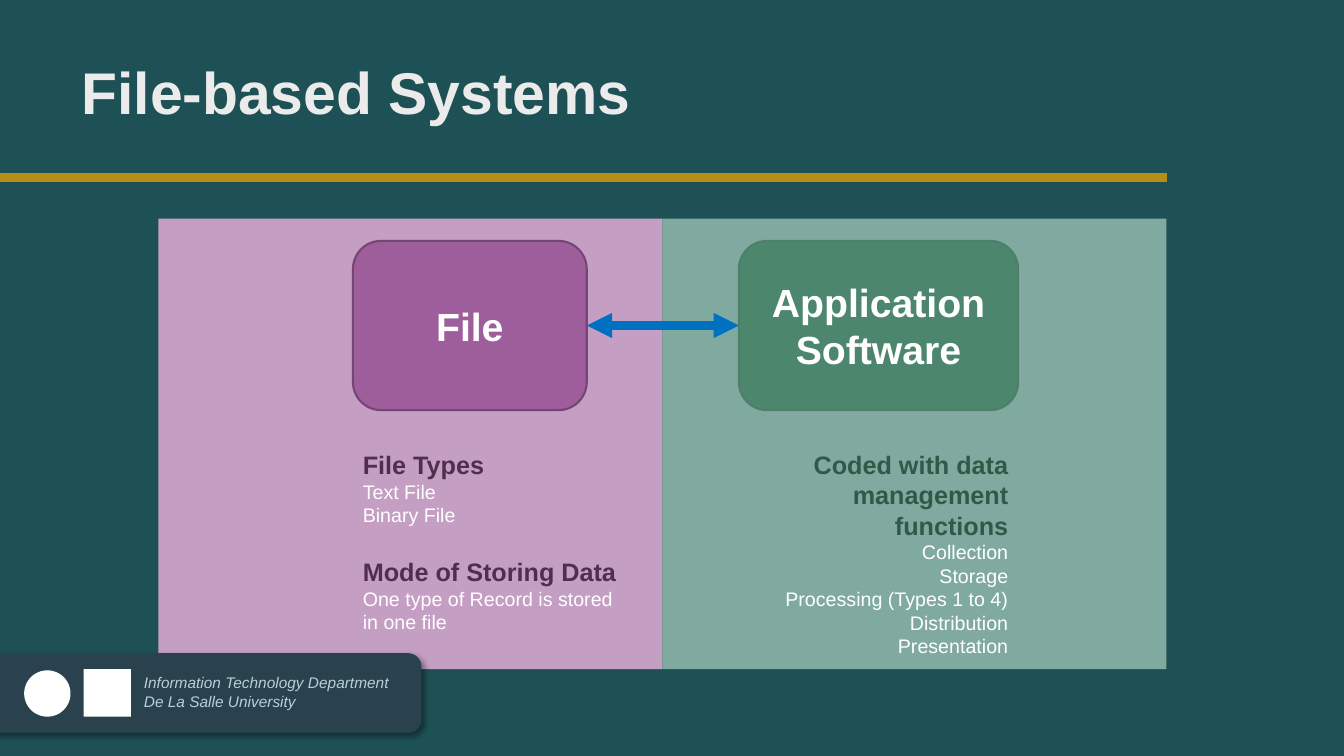
import lxml.etree
import pptx
import pptx.dml.color
import pptx.enum.shapes
import pptx.enum.text
import pptx.oxml.ns
import pptx.util

WIDTH, HEIGHT = pptx.util.Inches(13.33), pptx.util.Inches(7.5)
COL, ROW = WIDTH / 100, HEIGHT / 100
FONT = "Arial"
WHITE = "FFFFFF"
SHAPE = pptx.enum.shapes.MSO_SHAPE
ALIGN = pptx.enum.text.PP_ALIGN
ANCHOR = pptx.enum.text.MSO_ANCHOR
qn = pptx.oxml.ns.qn


def rgb(value):
    """Turn a hex string into a colour."""
    return pptx.dml.color.RGBColor.from_string(value)


def emu(box):
    """Turn a box in grid columns and rows into slide lengths."""
    x, y, w, h = box
    return [round(v) for v in (x * COL, y * ROW, w * COL, h * ROW)]


def inside(box, dx, dy, w, h):
    """Return a box of the given size, offset from a parent's corner."""
    return box[0] + dx, box[1] + dy, w, h


def sub(parent, tag, **attrs):
    """Append a DrawingML element with its attributes."""
    el = lxml.etree.SubElement(parent, qn(tag))
    for key, value in attrs.items():
        el.set(key, str(value))
    return el


def add_shape(shapes, kind, box, fill, line=None, alpha=None):
    """Draw a filled preset shape."""
    sp = shapes.add_shape(kind, *emu(box))
    sp.shadow.inherit = False
    sp.fill.solid()
    sp.fill.fore_color.rgb = rgb(fill)
    if alpha:
        color = sp.fill._xPr.find(".//" + qn("a:srgbClr"))
        sub(color, "a:alpha", val=alpha * 1000)
    if line:
        sp.line.color.rgb = rgb(line)
        sp.line.width = pptx.util.Pt(1.5)
    else:
        sp.line.fill.background()
    return sp


def add_line(shapes, x1, x2, y, color, arrows=False):
    """Draw a thick horizontal line, with arrowheads if asked."""
    start, top, end, _ = emu((x1, y, x2, 0))
    cxn = shapes.add_connector(
        pptx.enum.shapes.MSO_CONNECTOR.STRAIGHT, start, top, end, top)
    cxn.line.color.rgb = rgb(color)
    cxn.line.width = pptx.util.Pt(6)
    if arrows:
        ln = cxn.line._get_or_add_ln()
        for tag in ("a:headEnd", "a:tailEnd"):
            sub(ln, tag, type="triangle")
    sub(cxn._element.spPr, "a:effectLst")


def write(tf, paragraphs, align=ALIGN.LEFT, anchor=ANCHOR.TOP):
    """Fill a frame with (text, size, colour, bold, italic, gap) paragraphs."""
    tf.word_wrap = True
    tf.vertical_anchor = anchor
    for i, (text, size, color, bold, italic, gap) in enumerate(paragraphs):
        p = tf.paragraphs[0] if i == 0 else tf.add_paragraph()
        p.alignment = align
        if gap:
            p.space_before = pptx.util.Pt(gap)
        r = p.add_run()
        r.text = text
        r.font.name = FONT
        r.font.size = pptx.util.Pt(size)
        r.font.bold, r.font.italic = bold, italic
        r.font.color.rgb = rgb(color)


def add_text(shapes, box, paragraphs, align=ALIGN.LEFT):
    """Add a text box."""
    write(shapes.add_textbox(*emu(box)).text_frame, paragraphs, align)


def add_header(shapes, box, title):
    """Place the title and the gold rule below it."""
    add_text(shapes, box, [(title, 42, "EBEBEB", True, False, 0)])
    add_line(shapes, 0, 86.8, box[1] + 16.8, "B68E15")


def add_panel(shapes, box, fill, alpha, card_fill, card_line, heading_color,
              label, dx, card_width, sections, align):
    """Place a panel with its card and lists, and return the card's box."""
    add_shape(shapes, SHAPE.RECTANGLE, box, fill, alpha=alpha)
    card = inside(box, dx, 2.93, card_width, 22.4)
    sp = add_shape(shapes, SHAPE.ROUNDED_RECTANGLE, card, card_fill, card_line)
    write(sp.text_frame, [(label, 28, WHITE, True, False, 0)],
          ALIGN.CENTER, ANCHOR.MIDDLE)
    paragraphs = []
    for heading, items in sections:
        gap = 21 if paragraphs else 0
        paragraphs.append((heading, 18, heading_color, True, False, gap))
        paragraphs += [(item, 14, WHITE, False, False, 0) for item in items]
    add_text(shapes, inside(box, dx, 29.87, 20.78, 26), paragraphs, align)
    return card


def add_footer(shapes, box, lines):
    """Place the shadowed department plate with its two plain marks."""
    group = shapes.add_group_shape().shapes
    plate = add_shape(group, SHAPE.ROUNDED_RECTANGLE, box, "2A424D")
    effects = plate._element.spPr.find(qn("a:effectLst"))
    shadow = sub(effects, "a:outerShdw", blurRad=pptx.util.Pt(4),
                 dist=pptx.util.Pt(3), dir=45 * 60000, algn="tl", rotWithShape=0)
    sub(sub(shadow, "a:srgbClr", val="000000"), "a:alpha", val=40000)
    add_text(group, inside(box, 11.4, 2, 21.68, 6.27),
             [(line, 11, "B9CFD9", False, True, 0) for line in lines])
    add_shape(group, SHAPE.OVAL, inside(box, 3.23, 2.27, 3.45, 6.13), WHITE)
    add_shape(group, SHAPE.RECTANGLE, inside(box, 7.65, 2.13, 3.53, 6.27), WHITE)


def main():
    """Build the slide and save it."""
    prs = pptx.Presentation()
    prs.slide_width, prs.slide_height = WIDTH, HEIGHT
    s = prs.slides.add_slide(prs.slide_layouts[6])
    s.background.fill.solid()
    s.background.fill.fore_color.rgb = rgb("1E5155")

    left = (11.78, 28.93, 37.5, 59.6)
    right = inside(left, left[2], 0, *left[2:])
    file_card = add_panel(
        s.shapes, left, "C59EC3", None, "9E5E9B", "754673", "4F2F4E",
        "File", 14.48, 17.4,
        [("File Types", ["Text File", "Binary File"]),
         ("Mode of Storing Data", ["One type of Record is stored in one file"])],
        ALIGN.LEFT)
    software_card = add_panel(
        s.shapes, right, "A6CDBC", 72, "4B866D", "4E7F6B", "325948",
        "Application Software", 5.7, 20.78,
        [("Coded with data management functions",
          ["Collection", "Storage", "Processing (Types 1 to 4)",
           "Distribution", "Presentation"])],
        ALIGN.RIGHT)
    add_line(s.shapes, file_card[0] + file_card[2], software_card[0],
             file_card[1] + file_card[3] / 2, "0070C0", arrows=True)
    add_header(s.shapes, (5.33, 6.67, 77.2, 20.4), "File-based Systems")
    add_footer(s.shapes, (-1.43, 86.4, 32.78, 10.53),
               ["Information Technology Department", "De La Salle University"])
    prs.save("out.pptx")


if __name__ == "__main__":
    main()
